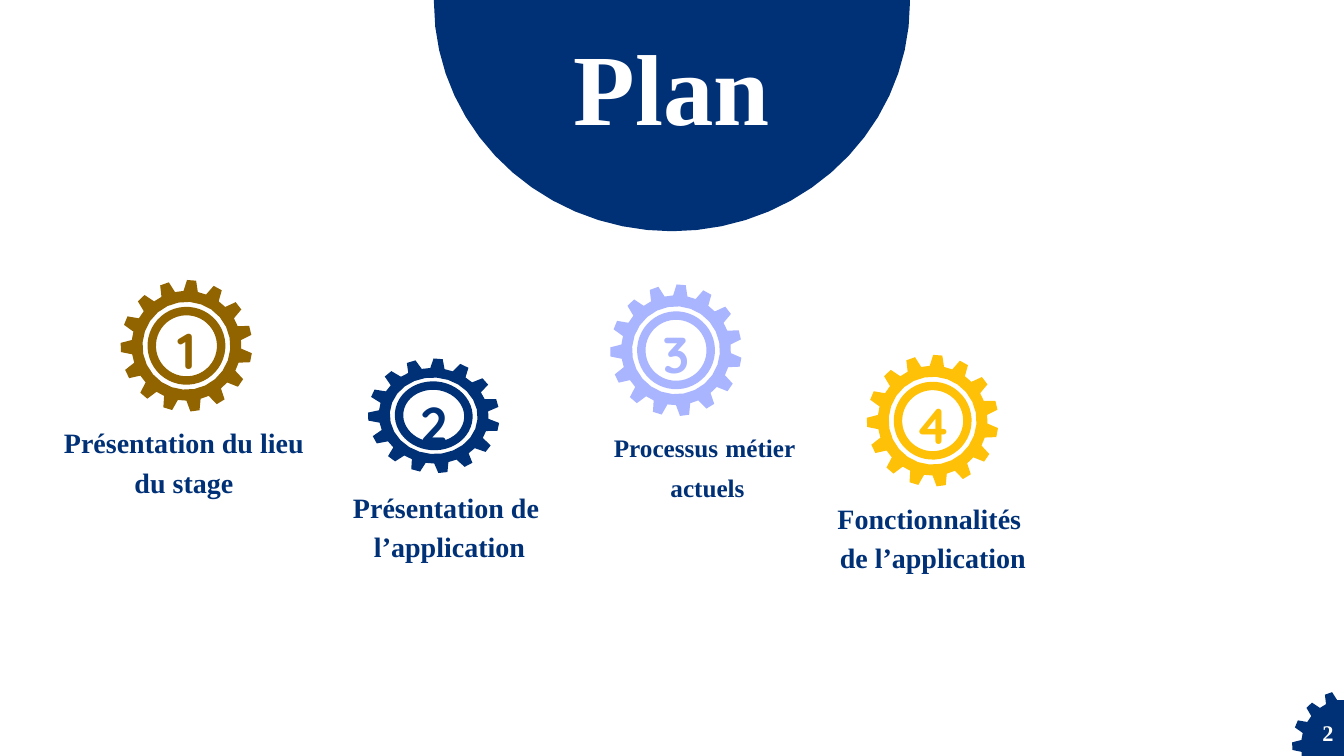
from dataclasses import dataclass

from math import cos, radians, sin

from pptx import Presentation
from pptx.dml.color import RGBColor as Color
from pptx.enum.shapes import MSO_SHAPE as Preset
from pptx.enum.text import MSO_ANCHOR as Anchor, MSO_AUTO_SIZE as AutoSize, PP_ALIGN as Align
from pptx.shapes.autoshape import Shape
from pptx.shapes.shapetree import GroupShapes
from pptx.util import Pt

Point = tuple[float, float]


@dataclass(frozen=True)
class Theme:
    navy: str = "003076"
    bronze: str = "916400"
    lavender: str = "A9B5FF"
    amber: str = "FFC107"
    white: str = "FFFFFF"
    black: str = "000000"
    serif: str = "Times New Roman"
    rounded: str = "Quicksand"
    title_size: float = 72
    number_size: float = 36
    caption_size: float = 20
    small_caption_size: float = 18
    page_size: float = 16
    display_spacing: float = 48.1
    caption_spacing: float = 28
    ring_width: float = 6


@dataclass(frozen=True)
class Box:
    left: float
    top: float
    width: float
    height: float


@dataclass(frozen=True)
class Run:
    text: str
    size: float
    color: str
    font: str = Theme.serif
    bold: bool = True


@dataclass(frozen=True)
class Step:
    number: str
    center: Point
    color: str
    caption_box: Box
    caption: list[list[Run]]
    squash: float = 1


THEME = Theme()
WIDTH, HEIGHT = 960, 540
TEETH = 15
TURN = 4.5
TIP_RADIUS, ROOT_RADIUS, HOLE_RADIUS, RING_RADIUS = 47, 39.2, 31.4, 24.8
TIP_ANGLE, ROOT_ANGLE = 4, 7.5
NUMBER_WIDTH, NUMBER_HEIGHT = 87, 48.2


def polar(center: Point, radius: float, angle: float, squash: float = 1) -> Point:
    return (center[0] + radius * sin(radians(angle)),
            center[1] - radius * cos(radians(angle)) * squash)


def arc(center: Point, radius: float, start: int, stop: int, step: int,
        squash: float = 1) -> list[Point]:
    return [polar(center, radius, angle, squash) for angle in range(start, stop + step, step)]


def gear_outline(center: Point, scale: float = 1, squash: float = 1, turn: float = 0) -> list[Point]:
    profile = [(ROOT_RADIUS, -ROOT_ANGLE), (TIP_RADIUS, -TIP_ANGLE),
               (TIP_RADIUS, TIP_ANGLE), (ROOT_RADIUS, ROOT_ANGLE)]
    return [polar(center, radius * scale, tooth * 360 / TEETH + angle + turn, squash)
            for tooth in range(TEETH) for radius, angle in profile]


def clip_to_corner(points: list[Point]) -> list[Point]:
    visible = [(x, y) for x, y in points if x <= WIDTH and y <= HEIGHT]
    return [(visible[0][0], HEIGHT), *visible, (WIDTH, visible[-1][1]), (WIDTH, HEIGHT)]


def add_outline(shapes: GroupShapes, color: str, *contours: list[Point]) -> Shape:
    scaled = [[(Pt(x), Pt(y)) for x, y in contour] for contour in contours]
    builder = shapes.build_freeform(*scaled[0][0])
    builder.add_line_segments(scaled[0][1:])
    for contour in scaled[1:]:
        builder.move_to(*contour[0])
        builder.add_line_segments(contour[1:])
    shape = builder.convert_to_shape()
    shape.shadow.inherit = False
    shape.fill.solid()
    shape.fill.fore_color.rgb = Color.from_string(color)
    shape.line.fill.background()
    return shape


def add_text(shapes: GroupShapes, box: Box, lines: list[list[Run]], spacing: float) -> Shape:
    shape = shapes.add_textbox(Pt(box.left), Pt(box.top), Pt(box.width), Pt(box.height))
    frame = shape.text_frame
    frame_format = {"word_wrap": True, "auto_size": AutoSize.SHAPE_TO_FIT_TEXT, "margin_left": 0,
                    "margin_top": 0, "margin_right": 0, "margin_bottom": 0}
    for name, value in frame_format.items():
        setattr(frame, name, value)
    for index, line in enumerate(lines):
        paragraph = frame.add_paragraph() if index else frame.paragraphs[0]
        paragraph.alignment = Align.CENTER
        paragraph.line_spacing = Pt(spacing)
        for item in line:
            run = paragraph.add_run()
            run.text = item.text
            font_format = {"name": item.font, "size": Pt(item.size), "bold": item.bold}
            for name, value in font_format.items():
                setattr(run.font, name, value)
            run.font.color.rgb = Color.from_string(item.color)
    return shape


def add_step(shapes: GroupShapes, step: Step) -> None:
    x, y = step.center
    badge = shapes.add_group_shape().shapes
    hole = arc(step.center, HOLE_RADIUS, 360, 0, -15, step.squash)
    gear = add_outline(badge, step.color, gear_outline(step.center, squash=step.squash), hole)
    ring_height = RING_RADIUS * step.squash
    ring = badge.add_shape(Preset.OVAL, Pt(x - RING_RADIUS), Pt(y - ring_height),
                           Pt(2 * RING_RADIUS), Pt(2 * ring_height))
    ring.shadow.inherit = False
    ring.fill.background()
    ring.line.color.rgb = Color.from_string(step.color)
    ring.line.width = Pt(THEME.ring_width)
    for shape in (gear, ring):
        shape.rotation = TURN
    number_height = NUMBER_HEIGHT * step.squash
    number_box = Box(x - NUMBER_WIDTH / 2, y - number_height / 2, NUMBER_WIDTH, number_height)
    number = Run(step.number, THEME.number_size, step.color, THEME.rounded)
    add_text(badge, number_box, [[number]], THEME.display_spacing)
    add_text(shapes, step.caption_box, step.caption, THEME.caption_spacing)


def add_title(shapes: GroupShapes) -> None:
    header = shapes.add_group_shape().shapes
    dome = arc((480, 2), 170, 90, 270, 6, 0.96)
    add_outline(header, THEME.navy, [(310, 0), (650, 0), *dome])
    title = Run("Plan", THEME.title_size, THEME.white)
    add_text(header, Box(347, 56.2, 265.7, 53.3), [[title]], THEME.display_spacing)


def add_page_number(shapes: GroupShapes) -> None:
    corner = shapes.add_group_shape().shapes
    gear = gear_outline((962, 532), scale=0.83, turn=TURN)
    disc = arc((962.5, 535.5), 30.2, 0, 360, 10)
    for outline in (gear, disc):
        add_outline(corner, THEME.navy, clip_to_corner(outline))
    page = Run("2", THEME.page_size, THEME.white)
    shape = add_text(corner, Box(937.4, 513.4, 22.3, 19.4), [[page]], THEME.page_size * 1.2)
    shape.text_frame.vertical_anchor = Anchor.MIDDLE


def caption_lines(*texts: str) -> list[list[Run]]:
    return [[Run(text, THEME.caption_size, THEME.navy)] for text in texts]


def main() -> None:
    small = THEME.small_caption_size
    process_caption = [
        [Run("Processus", small, THEME.navy),
         Run(" ", THEME.caption_size, THEME.black, bold=False),
         Run("métier ", small, THEME.navy)],
        [Run("actuels", small, THEME.navy)],
    ]
    steps = [
        Step("1", (133.2, 247), THEME.bronze, Box(0, 300.2, 267.8, 54),
             caption_lines("Présentation du lieu ", "du stage ")),
        Step("2", (309.8, 297), THEME.navy, Box(193, 346.3, 251.3, 54),
             caption_lines("Présentation de", " l’application"), squash=0.87),
        Step("3", (482.9, 250.2), THEME.lavender, Box(404.6, 303.1, 201.6, 54), process_caption),
        Step("4", (666.2, 300.5), THEME.amber, Box(529.9, 354.2, 272.9, 54),
             caption_lines("Fonctionnalités ", "de l’application")),
    ]
    presentation = Presentation()
    presentation.slide_width, presentation.slide_height = Pt(WIDTH), Pt(HEIGHT)
    slide = presentation.slides.add_slide(presentation.slide_layouts[6])
    slide.background.fill.solid()
    slide.background.fill.fore_color.rgb = Color.from_string(THEME.white)
    add_title(slide.shapes)
    for step in steps:
        add_step(slide.shapes, step)
    add_page_number(slide.shapes)
    presentation.save("out.pptx")


if __name__ == "__main__":
    main()
